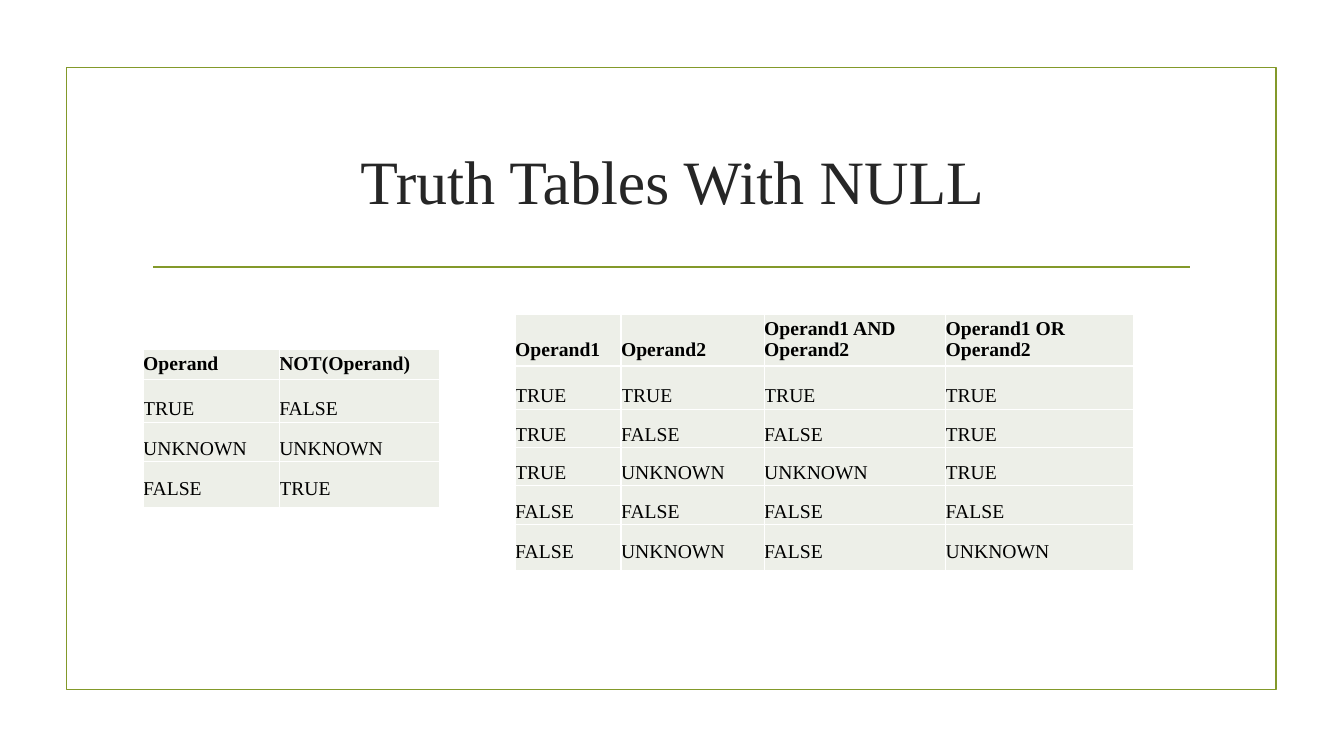
import dataclasses

import pptx
import pptx.dml.color
import pptx.enum.shapes
import pptx.enum.text
import pptx.oxml
import pptx.oxml.ns
import pptx.util

Inches = pptx.util.Inches
Pt = pptx.util.Pt
ANCHOR = pptx.enum.text.MSO_ANCHOR
ALIGN = pptx.enum.text.PP_ALIGN


@dataclasses.dataclass(frozen=True)
class Theme:
    """Colours, font and type sizes of the slide."""
    green: str = "83992A"
    pale: str = "EDEFE8"
    white: str = "FFFFFF"
    dark: str = "262626"
    black: str = "000000"
    font: str = "Times New Roman"
    title: int = 44
    body: int = 14
    rule: float = 1.25


THEME = Theme()

HEAD = (0.29, 0.03, 0, 0.05)
FIRST = (0.43, 0.08, 0.08, 0.01)
INNER = (0.38, 0.04, 0.08, 0.01)
LAST = (0.45, 0.06, 0.08, 0.08)

NOT_ROWS = [
    ("Operand", "NOT(Operand)"),
    ("TRUE", "FALSE"),
    ("UNKNOWN", "UNKNOWN"),
    ("FALSE", "TRUE"),
]
PAIR_ROWS = [
    ("Operand1", "Operand2", "Operand1 AND Operand2", "Operand1 OR Operand2"),
    ("TRUE", "TRUE", "TRUE", "TRUE"),
    ("TRUE", "FALSE", "FALSE", "TRUE"),
    ("TRUE", "UNKNOWN", "UNKNOWN", "TRUE"),
    ("FALSE", "FALSE", "FALSE", "FALSE"),
    ("FALSE", "UNKNOWN", "FALSE", "UNKNOWN"),
]


def paint(code):
    """Turn a hex code into a colour."""
    return pptx.dml.color.RGBColor.from_string(code)


def write(frame, text, size=THEME.body, color=THEME.black, bold=False,
          align=ALIGN.LEFT, space=1.0):
    """Put formatted text in a text frame."""
    frame.word_wrap = True
    para = frame.paragraphs[0]
    para.alignment = align
    para.line_spacing = space
    run = para.add_run()
    run.text = text
    run.font.name = THEME.font
    run.font.size = Pt(size)
    run.font.bold = bold
    run.font.color.rgb = paint(color)


def edge(cell):
    """Draw thin white borders around a cell."""
    props = cell._tc.get_or_add_tcPr()
    for spot, side in enumerate(("lnL", "lnR", "lnT", "lnB")):
        props.insert(spot, pptx.oxml.parse_xml(
            f'<a:{side} {pptx.oxml.ns.nsdecls("a")} w="{Pt(1)}">'
            f'<a:solidFill><a:srgbClr val="{THEME.white}"/></a:solidFill>'
            f'</a:{side}>'))


def draw_frame(slide, left, top, width, height):
    """Draw the border and the centred rule below the title."""
    box = slide.shapes.add_shape(
        pptx.enum.shapes.MSO_SHAPE.RECTANGLE,
        Inches(left), Inches(top), Inches(width), Inches(height))
    box.shadow.inherit = False
    box.fill.background()
    inset, drop = 0.86, 1.98
    rule = slide.shapes.add_connector(
        pptx.enum.shapes.MSO_CONNECTOR.STRAIGHT,
        Inches(left + inset), Inches(top + drop),
        Inches(left + width - inset), Inches(top + drop))
    rule._element.spPr.append(pptx.oxml.parse_xml(
        f'<a:effectLst {pptx.oxml.ns.nsdecls("a")}/>'))
    for part in (box, rule):
        part.line.color.rgb = paint(THEME.green)
        part.line.width = Pt(THEME.rule)


def draw_title(slide, text, left, top, width, height):
    """Place the title in its box."""
    title = slide.shapes.title
    title.left, title.top = Inches(left), Inches(top)
    title.width, title.height = Inches(width), Inches(height)
    title.text_frame.vertical_anchor = ANCHOR.MIDDLE
    write(title.text_frame, text, size=THEME.title, color=THEME.dark,
          align=ALIGN.CENTER)


def draw_table(slide, rows, left, top, widths, head=HEAD[0]):
    """Draw a truth table with a bold heading row."""
    specs = [HEAD, FIRST] + [INNER] * (len(rows) - 3) + [LAST]
    heights = [head] + [row[0] for row in specs[1:]]
    table = slide.shapes.add_table(
        len(rows), len(widths), Inches(left), Inches(top),
        Inches(sum(widths)), Inches(sum(heights))).table
    table.first_row = table.horz_banding = False
    for col, width in zip(table.columns, widths):
        col.width = Inches(width)
    for r, (row, height, pads) in enumerate(zip(rows, heights, specs)):
        table.rows[r].height = Inches(height)
        for c, text in enumerate(row):
            cell = table.cell(r, c)
            cell.margin_left = 0
            cell.margin_top, cell.margin_right, cell.margin_bottom = map(
                Inches, pads[1:])
            cell.vertical_anchor = ANCHOR.TOP if r else ANCHOR.BOTTOM
            cell.fill.solid()
            cell.fill.fore_color.rgb = paint(THEME.pale)
            edge(cell)
            write(cell.text_frame, text, bold=r == 0,
                  space=1.5 if r else 1.0)


def main():
    """Build and save the slide."""
    deck = pptx.Presentation()
    deck.slide_width, deck.slide_height = Inches(13.33), Inches(7.5)
    slide = deck.slides.add_slide(deck.slide_layouts[5])
    draw_frame(slide, 0.66, 0.67, 12, 6.17)
    draw_title(slide, "Truth Tables With NULL", 1.42, 1.07, 10.5, 1.43)
    draw_table(slide, NOT_ROWS, 1.42, 3.47, (1.35, 1.59))
    draw_table(slide, PAIR_ROWS, 5.11, 3.12, (1.05, 1.42, 1.8, 1.86), head=0.5)
    deck.save("out.pptx")


if __name__ == "__main__":
    main()
